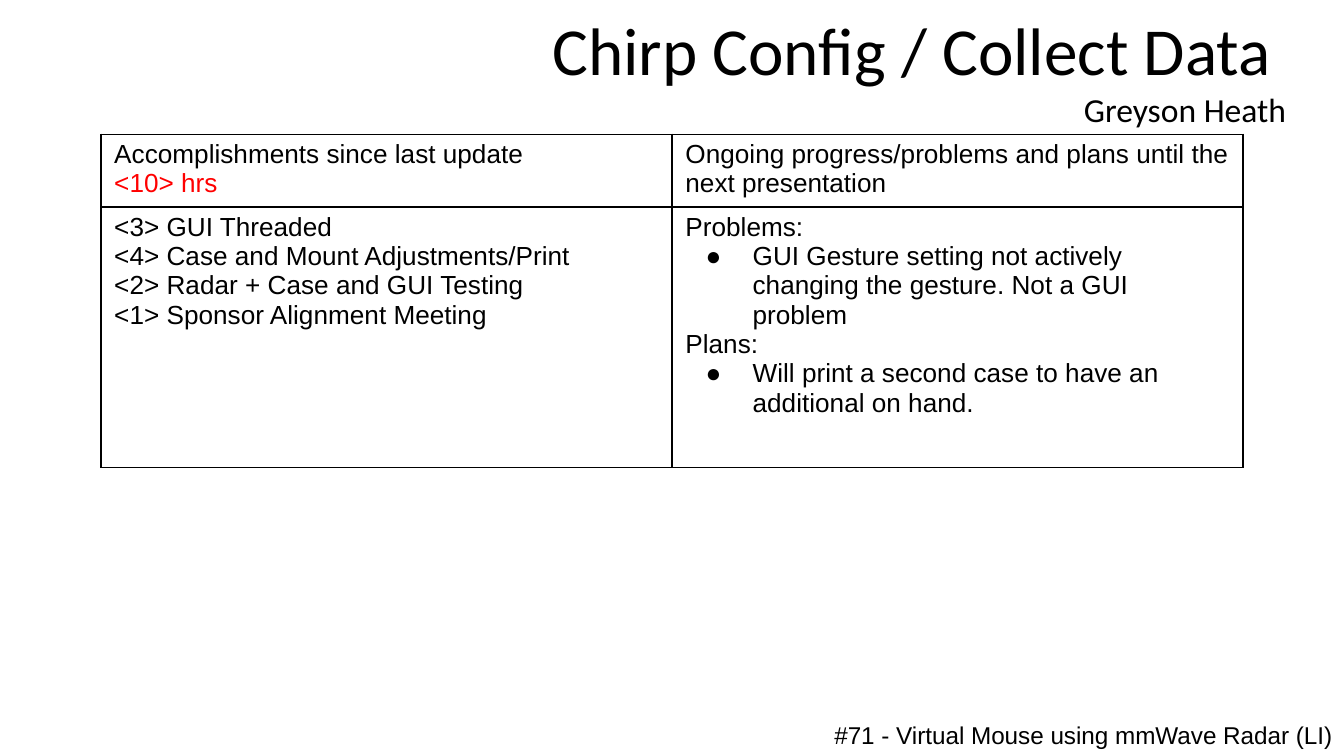
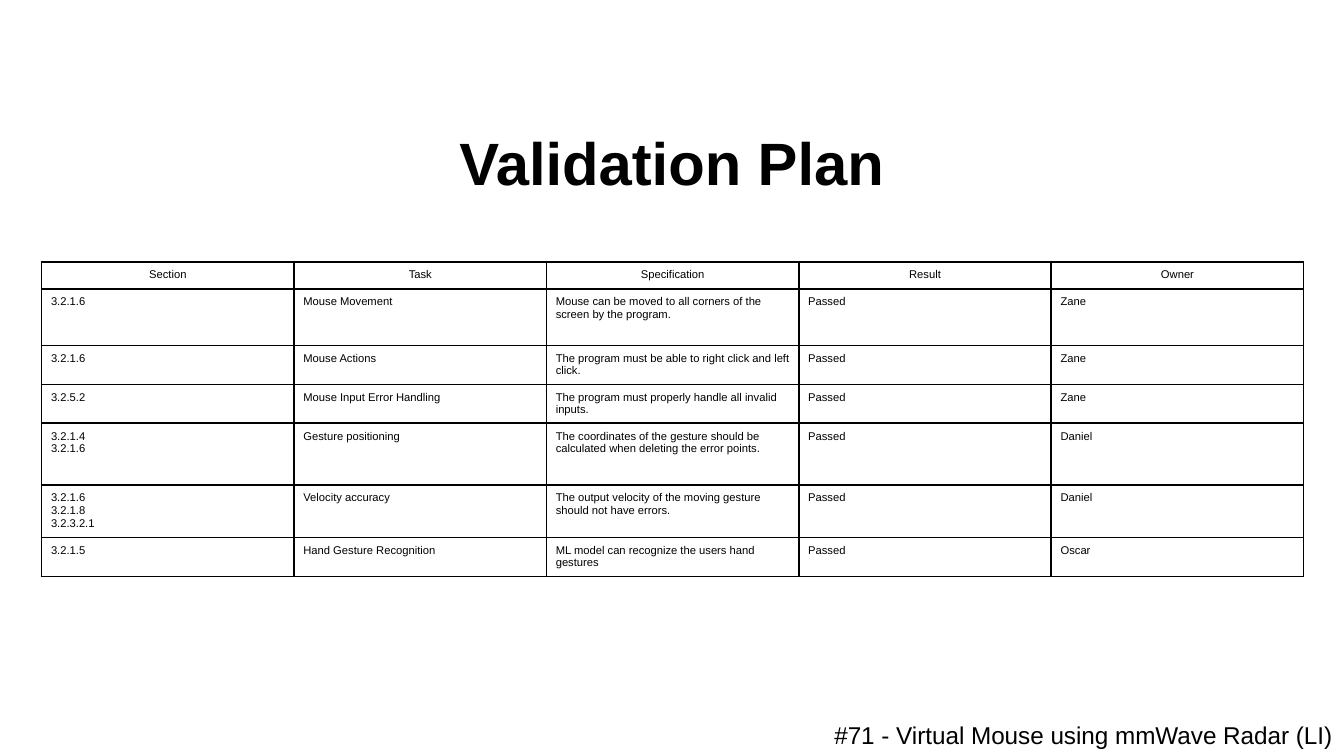
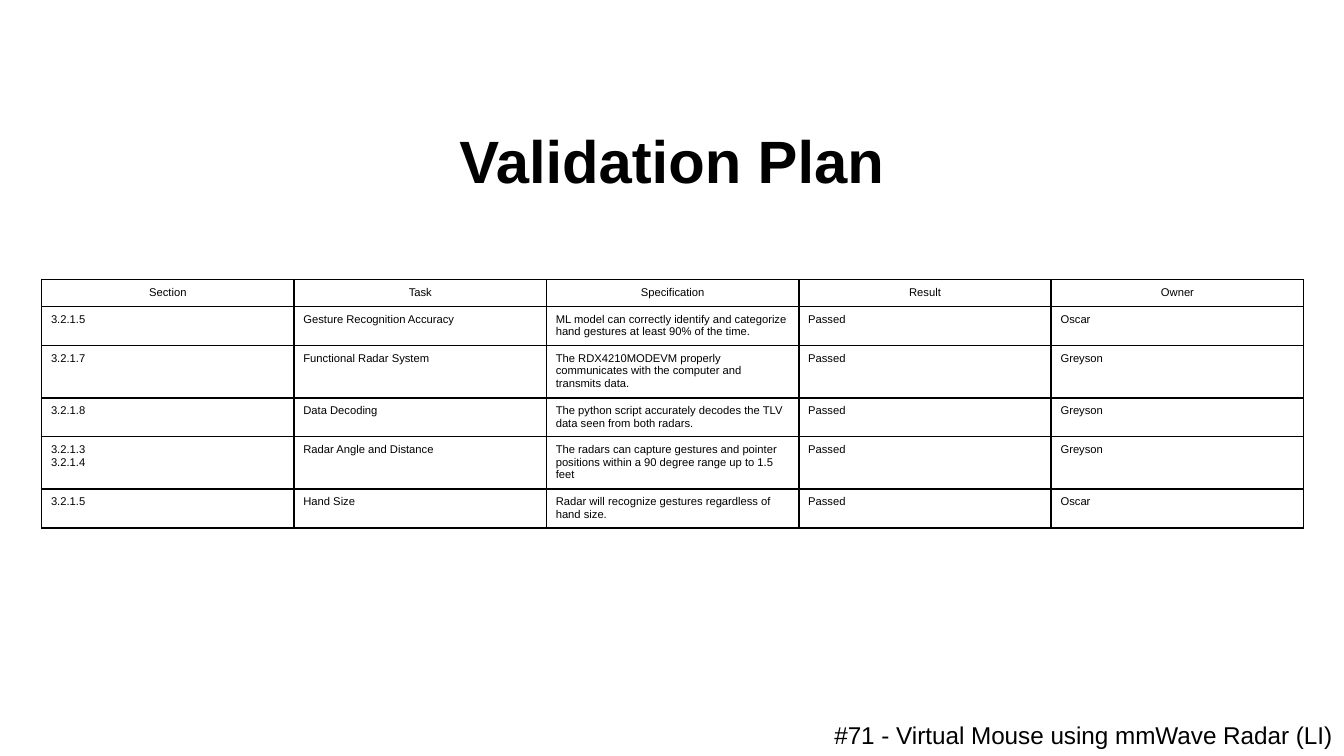
from lxml import etree
from pptx import Presentation
from pptx.dml.color import RGBColor
from pptx.enum.text import MSO_ANCHOR, MSO_AUTO_SIZE, PP_ALIGN
from pptx.oxml.ns import qn
from pptx.util import Inches, Pt

BLACK = RGBColor(0x00, 0x00, 0x00)
RED = RGBColor(0xFF, 0x00, 0x00)
LEFT, CENTER, RIGHT = PP_ALIGN.LEFT, PP_ALIGN.CENTER, PP_ALIGN.RIGHT
TOP, MIDDLE = MSO_ANCHOR.TOP, MSO_ANCHOR.MIDDLE
NO_AUTOFIT = MSO_AUTO_SIZE.NONE

SLIDE_WIDTH = 10
SLIDE_HEIGHT = SLIDE_WIDTH * 9 / 16
TITLE_ONLY_LAYOUT = 5
FOOTER = "#71 - Virtual Mouse using mmWave Radar (LI)"
VALIDATION_HEADER = ["Section", "Task", "Specification", "Result", "Owner"]

UPDATE_ROWS = [
    ["Accomplishments since last update\v<10> hrs",
     "Ongoing progress/problems and plans until the next presentation"],
    ["<3> GUI Threaded\n<4> Case and Mount Adjustments/Print\n"
     "<2> Radar + Case and GUI Testing\n<1> Sponsor Alignment Meeting",
     "Problems:\n"
     "GUI Gesture setting not actively changing the gesture. Not a GUI problem\n"
     "Plans:\n"
     "Will print a second case to have an additional on hand."],
]

VALIDATION_SLIDES = [
    (0.87, 1.95, [0.2, 0.42, 0.29, 0.29, 0.46, 0.39, 0.29], [
        ["3.2.1.6", "Mouse Movement",
         "Mouse can be moved to all corners of the screen by the program.", "Passed", "Zane"],
        ["3.2.1.6", "Mouse Actions",
         "The program must be able to right click and left click.", "Passed", "Zane"],
        ["3.2.5.2", "Mouse Input Error Handling",
         "The program must properly handle all invalid inputs.", "Passed", "Zane"],
        ["3.2.1.4\n3.2.1.6", "Gesture positioning",
         "The coordinates of the gesture should be calculated when deleting the error points.",
         "Passed", "Daniel"],
        ["3.2.1.6\n3.2.1.8\n3.2.3.2.1", "Velocity accuracy",
         "The output velocity of the moving gesture should not have errors.", "Passed", "Daniel"],
        ["3.2.1.5", "Hand Gesture Recognition",
         "ML model can recognize the users hand gestures", "Passed", "Oscar"],
    ]),
    (0.86, 2.08, [0.2, 0.29, 0.39, 0.29, 0.39, 0.29], [
        ["3.2.1.5", "Gesture Recognition Accuracy",
         "ML model can correctly identify and categorize hand gestures at least 90% of the time.",
         "Passed", "Oscar"],
        ["3.2.1.7", "Functional Radar System",
         "The RDX4210MODEVM properly communicates with the computer and transmits data.",
         "Passed", "Greyson"],
        ["3.2.1.8", "Data Decoding",
         "The python script accurately decodes the TLV data seen from both radars.",
         "Passed", "Greyson"],
        ["3.2.1.3\n3.2.1.4", "Radar Angle and Distance",
         "The radars can capture gestures and pointer positions within a 90 degree range"
         " up to 1.5 feet", "Passed", "Greyson"],
        ["3.2.1.5", "Hand Size",
         "Radar will recognize gestures regardless of hand size.", "Passed", "Oscar"],
    ]),
]


def format_paragraph(paragraph, size, font_name="Arial", alignment=LEFT, bold=False):
    paragraph.alignment = alignment
    paragraph.font.name = font_name
    paragraph.font.size = Pt(size)
    paragraph.font.bold = bold
    paragraph.font.color.rgb = BLACK


def add_bordered_table(slide, left, top, width, row_heights, rows, size, margins,
                       header_alignment):
    frame = slide.shapes.add_table(
        len(rows), len(rows[0]), Inches(left), Inches(top),
        Inches(width), Inches(sum(row_heights)))
    table = frame.table
    table.first_row = table.horz_banding = False
    for row_index, texts in enumerate(rows):
        table.rows[row_index].height = Inches(row_heights[row_index])
        for column_index, text in enumerate(texts):
            cell = table.cell(row_index, column_index)
            cell.margin_left = cell.margin_right = Inches(margins[0])
            cell.margin_top = cell.margin_bottom = Inches(margins[1])
            properties = cell._tc.get_or_add_tcPr()
            for side in ("a:lnL", "a:lnR", "a:lnT", "a:lnB"):
                line = etree.SubElement(properties, qn(side), w=str(Pt(1)))
                fill = etree.SubElement(line, qn("a:solidFill"))
                etree.SubElement(fill, qn("a:srgbClr"), val=str(BLACK))
            cell.fill.background()
            cell.text = text
            for paragraph in cell.text_frame.paragraphs:
                format_paragraph(paragraph, size,
                                 alignment=LEFT if row_index else header_alignment)
    return table


presentation = Presentation()
presentation.slide_width = Inches(SLIDE_WIDTH)
presentation.slide_height = Inches(SLIDE_HEIGHT)
layout = presentation.slide_layouts[TITLE_ONLY_LAYOUT]

update_slide = presentation.slides.add_slide(layout)
title = update_slide.shapes.title
title.left, title.top = Inches(2.42), Inches(0.01)
title.width, title.height = Inches(7.25), Inches(1.01)
title.text_frame.text = "Chirp Config / Collect Data \nGreyson Heath"
title.text_frame.vertical_anchor = TOP
for paragraph, size in zip(title.text_frame.paragraphs, (36, 18)):
    format_paragraph(paragraph, size, "Calibri", RIGHT)

update_table = add_bordered_table(
    update_slide, 0.75, 1, 8.5, [0.54, 1.94], UPDATE_ROWS, 14, (0.1, 0.04), LEFT)
hours = update_table.cell(0, 0).text_frame.paragraphs[0].runs[1]
hours.font.color.rgb = RED
for paragraph in update_table.cell(1, 1).text_frame.paragraphs[1::2]:
    properties = paragraph._p.get_or_add_pPr()
    properties.set("marL", str(Inches(0.5)))
    properties.set("indent", str(Inches(-0.35)))
    properties.insert(0, etree.Element(qn("a:buFont"), typeface="Arial"))
    properties.insert(1, etree.Element(qn("a:buChar"), char="●"))

for title_top, table_top, row_heights, rows in VALIDATION_SLIDES:
    slide = presentation.slides.add_slide(layout)
    title = slide.shapes.title
    title.left, title.top = Inches(0.5), Inches(title_top)
    title.width, title.height = Inches(9), Inches(0.66)
    title.text_frame.text = "Validation Plan"
    title.text_frame.vertical_anchor = MIDDLE
    format_paragraph(title.text_frame.paragraphs[0], 32, alignment=CENTER, bold=True)
    add_bordered_table(slide, 0.31, table_top, 9.39, row_heights,
                       [VALIDATION_HEADER] + rows, 6, (0.07, 0.05), CENTER)

for slide in presentation.slides:
    slide.shapes.title.text_frame.auto_size = NO_AUTOFIT
    footer = slide.shapes.add_textbox(Inches(6.11), Inches(5.26), Inches(6.67), Inches(0.58))
    text_frame = footer.text_frame
    text_frame.word_wrap = True
    text_frame.margin_top = text_frame.margin_bottom = Inches(0.1)
    text_frame.text = FOOTER
    format_paragraph(text_frame.paragraphs[0], 13)

presentation.save("out.pptx")
